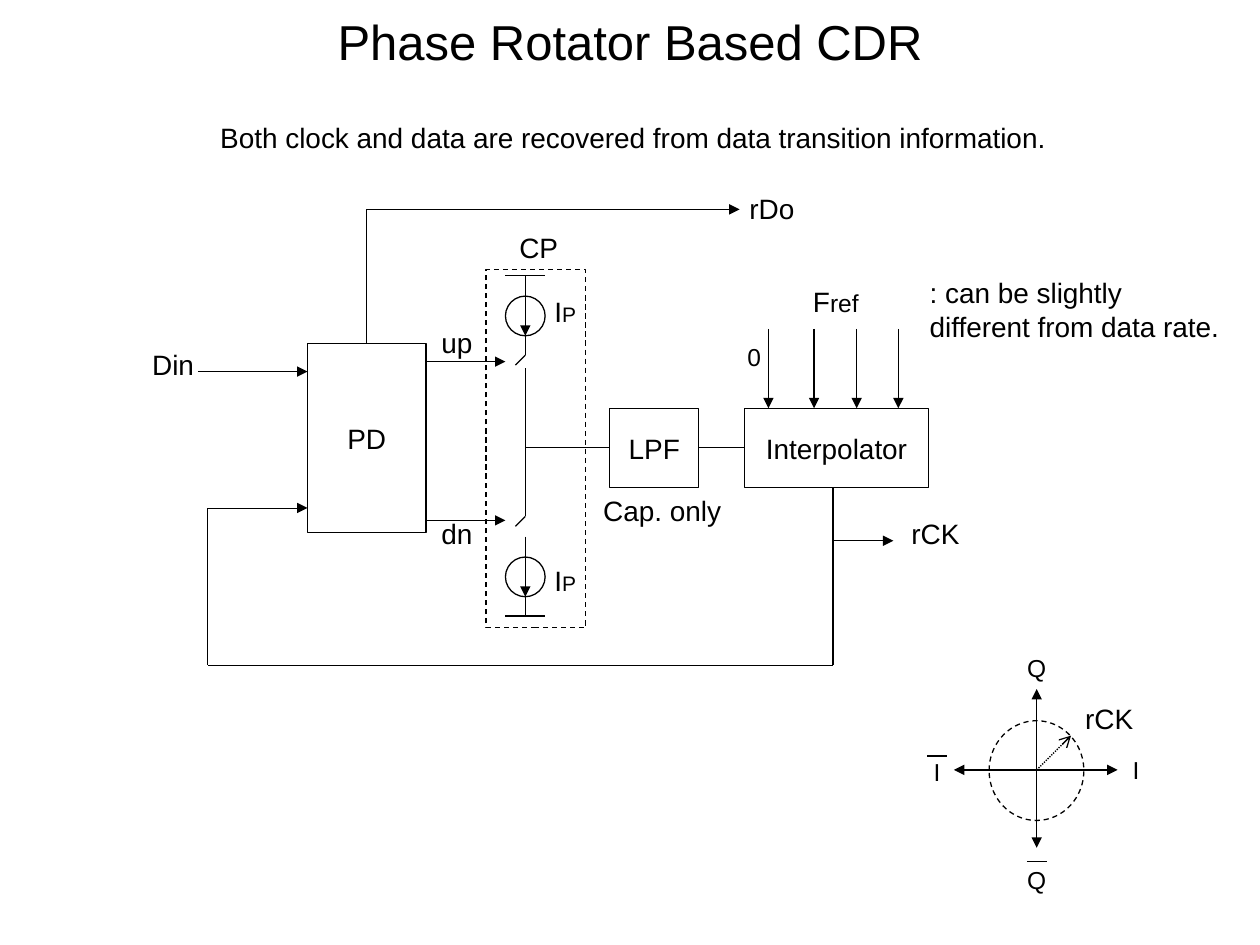
from lxml import etree
from pptx import Presentation
from pptx.dml.color import RGBColor
from pptx.enum.dml import MSO_LINE
from pptx.enum.shapes import MSO_CONNECTOR, MSO_SHAPE
from pptx.enum.text import MSO_ANCHOR, PP_ALIGN
from pptx.oxml.ns import qn
from pptx.util import Cm, Pt

RECT, OVAL = MSO_SHAPE.RECTANGLE, MSO_SHAPE.OVAL
DASH, DOT = MSO_LINE.DASH, MSO_LINE.ROUND_DOT
LEFT, MID = PP_ALIGN.LEFT, PP_ALIGN.CENTER
HEX = {"ink": "000000"}
INK = RGBColor.from_string(HEX["ink"])

prs = Presentation()
prs.slide_width, prs.slide_height = Cm(25.4), Cm(19.05)
slide = prs.slides.add_slide(prs.slide_layouts[5])


def wire(x1, y1, x2, y2, tail=None, head=None, width=0.75, dash=None):
    """Draw a line; tail is the arrowhead at its end, head the one at its start."""
    line = slide.shapes.add_connector(
        MSO_CONNECTOR.STRAIGHT, Cm(x1), Cm(y1), Cm(x2), Cm(y2))
    line.line.color.rgb = INK
    line.line.width = Pt(width)
    if dash:
        line.line.dash_style = dash
    props = line._element.spPr
    for tag, kind in (("a:headEnd", head), ("a:tailEnd", tail)):
        if kind:
            etree.SubElement(props.find(qn("a:ln")), qn(tag), type=kind)
    etree.SubElement(props, qn("a:effectLst"))


def write(shape, text, size=16, align=MID, sub="", small=12):
    """Fill a shape with one paragraph, ending in an optional smaller run."""
    frame = shape.text_frame
    frame.word_wrap = align == LEFT
    para = frame.paragraphs[0]
    para.text = text
    para.alignment = align
    if sub:
        para.add_run().text = sub
    for run, pts in zip(para.runs, (size, small)):
        run.font.size = Pt(pts)
        run.font.name = "Arial"
        run.font.color.rgb = INK


title = slide.shapes.title
title.left, title.top, title.width, title.height = Cm(0), Cm(0.1), Cm(25.4), Cm(1.45)
title.text_frame.vertical_anchor = MSO_ANCHOR.MIDDLE
write(title, "Phase Rotator Based CDR", 28)

# Blocks, pump frame, current sources and phase circle
for kind, x, y, w, h, text, dash in (
    (RECT, 6.2, 6.93, 2.39, 3.81, "PD", None),
    (RECT, 12.29, 8.23, 1.8, 1.6, "LPF", None),
    (RECT, 15.01, 8.23, 3.71, 1.6, "Interpolator", None),
    (RECT, 9.8, 5.44, 2.01, 7.21, "", DASH),
    (OVAL, 10.19, 5.97, 0.8, 0.8, "", None),
    (OVAL, 10.19, 11.23, 0.8, 0.8, "", None),
    (OVAL, 19.94, 14.53, 1.91, 2.01, "", DASH),
):
    block = slide.shapes.add_shape(kind, Cm(x), Cm(y), Cm(w), Cm(h))
    block.shadow.inherit = False
    block.fill.background()
    block.line.color.rgb = INK
    block.line.width = Pt(0.75)
    if dash:
        block.line.dash_style = dash
    if text:
        write(block, text)

# Charge pump: rail, source, link to the switch, and switch in each half
axis = 10.59
for rail, edge, top, link, blade, gate in (
    (5.56, 5.97, 5.97, (6.77, 7.16), 7.16, 7.29),
    (12.42, 12.03, 11.23, (10.82, 11.23), 10.41, 10.49),
):
    wire(axis - 0.4, rail, axis + 0.4, rail)
    wire(axis, rail, axis, edge)
    wire(axis, top, axis, top + 0.8, "triangle")
    wire(axis, link[0], axis, link[1])
    wire(axis - 0.2, blade + 0.2, axis, blade)
    wire(8.6, gate, axis - 0.4, gate, "triangle")
wire(axis, 7.42, axis, 10.41)

# Signal path, feedback loop and overbars
for ends in (
    (axis, 9.02, 12.29, 9.02), (14.1, 9.02, 15.01, 9.02),
    (16.79, 9.83, 16.79, 13.41), (16.79, 13.41, 4.19, 13.41),
    (4.19, 13.41, 4.19, 10.24), (7.39, 6.93, 7.39, 4.22),
    (18.69, 15.24, 19.1, 15.24), (20.7, 17.37, 21.11, 17.37),
):
    wire(*ends)
wire(7.39, 4.22, 14.91, 4.22, "triangle")
wire(16.79, 10.9, 18.01, 10.9, "triangle")
for x, y in ((3.99, 7.49), (4.19, 10.24)):
    wire(x, y, 6.2, y, "triangle", width=0.25)
for x in (15.49, 16.41, 17.27, 18.11):
    wire(x, 6.63, x, 8.23, "triangle")

# Phase plane
wire(19.23, 15.52, 22.53, 15.52, "triangle", "triangle")
wire(20.9, 17.09, 20.9, 13.89, "triangle", "triangle")
wire(20.9, 15.52, 21.59, 14.83, "arrow", dash=DOT)

# Labels
for x, y, w, text, size, align, sub, small in (
    (4.19, 2.31, 17.6, "Both clock and data are recovered from data transition information.",
     16, LEFT, "", 0),
    (2.79, 6.88, 1.4, "Din", 16, MID, "", 0),
    (14.71, 3.73, 1.7, "rDo", 16, MID, "", 0),
    (18.01, 10.29, 1.7, "rCK", 16, MID, "", 0),
    (21.51, 14.02, 1.7, "rCK", 16, MID, "", 0),
    (8.41, 6.43, 1.6, "up", 16, MID, "", 0),
    (8.41, 10.29, 1.6, "dn", 16, MID, "", 0),
    (10.21, 4.52, 1.3, "CP", 16, MID, "", 0),
    (10.8, 5.82, 1.19, "I", 16, MID, "P", 12),
    (10.8, 11.23, 1.19, "I", 16, MID, "P", 12),
    (16.0, 5.61, 1.7, "F", 16, MID, "ref", 14),
    (18.49, 5.44, 6.5, ": can be slightly different from data rate.", 16, LEFT, "", 0),
    (11.91, 9.83, 3.3, "Cap. only", 16, LEFT, "", 0),
    (14.81, 6.78, 0.79, "0", 14, MID, "", 0),
    (22.4, 15.09, 1, "I", 14, MID, "", 0),
    (18.39, 15.14, 1, "I", 14, MID, "", 0),
    (20.4, 13.03, 1, "Q", 14, MID, "", 0),
    (20.4, 17.32, 1, "Q", 14, MID, "", 0),
):
    label = slide.shapes.add_textbox(Cm(x), Cm(y), Cm(w), Cm(0.94 if size == 16 else 0.84))
    write(label, text, size, align, sub, small)

prs.save("out.pptx")
